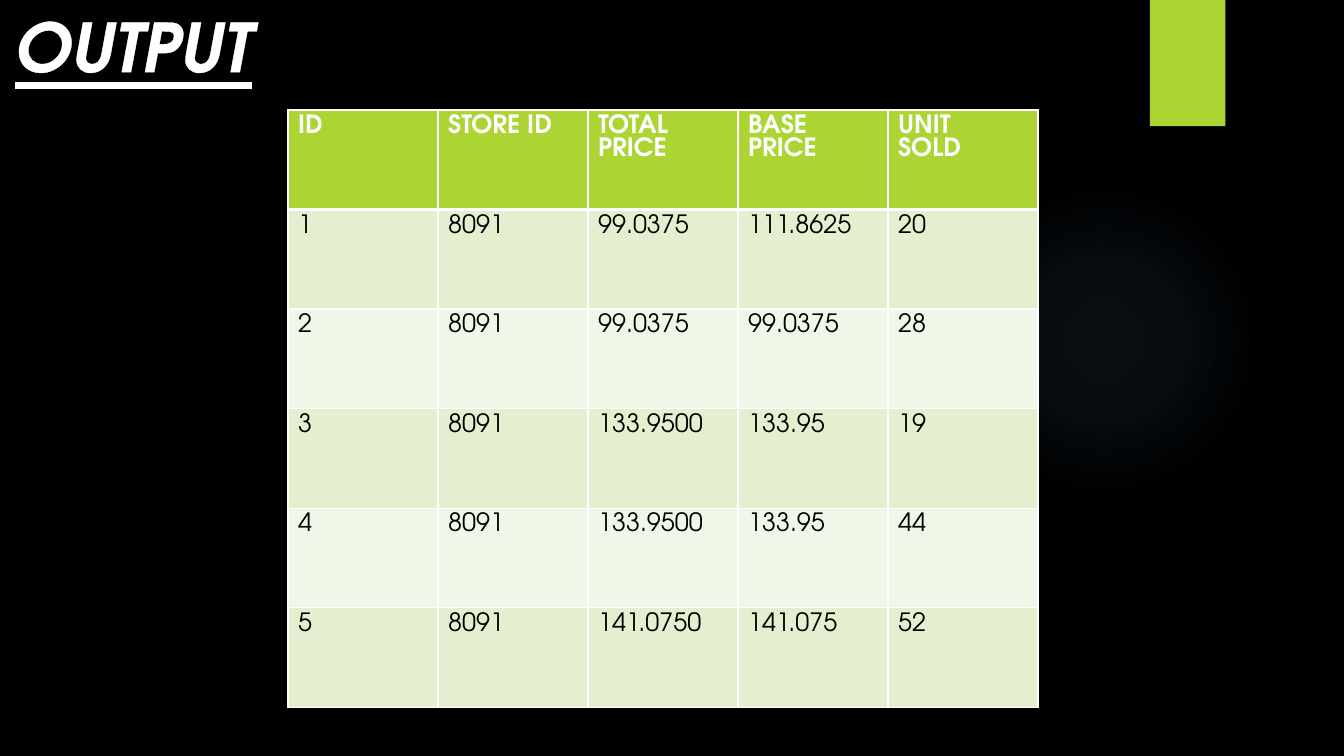
import dataclasses

import lxml.etree
import pptx
import pptx.dml.color
import pptx.enum.shapes
import pptx.enum.text
import pptx.oxml
import pptx.oxml.ns
import pptx.util

Cm = pptx.util.Cm
Pt = pptx.util.Pt
Color = pptx.dml.color.RGBColor
Kind = pptx.enum.shapes.MSO_SHAPE


@dataclasses.dataclass(frozen=True)
class Theme:
    font: str = "TeX Gyre Adventor"
    black: str = "000000"
    white: str = "FFFFFF"
    lime: str = "ACD433"
    bands: tuple[str, str] = ("E3EFCE", "F1F7E8")
    glow: str = "7AC4F0"
    title: float = 48
    body: float = 18
    thin: float = 1
    thick: float = 3
    edge: float = 1.45


@dataclasses.dataclass(frozen=True)
class Block:
    """A filled shape, with its box in centimetres."""
    kind: Kind
    left: float
    top: float
    width: float
    height: float
    color: str


THEME = Theme()
GLOW = Block(Kind.OVAL, 23.9, 4.65, 7.82, 7.82, THEME.glow)
TAB = Block(Kind.RECTANGLE, 28.98, 0, 1.9, 3.18, THEME.lime)
GLOW_STOPS = ((0, 7), (36, 6), (69, 0))

HEAD = ("ID", "STORE ID", "TOTAL PRICE", "BASE PRICE", "UNIT\nSOLD")
SALES = (
    ("1", "8091", "99.0375", "111.8625", "20"),
    ("2", "8091", "99.0375", "99.0375", "28"),
    ("3", "8091", "133.9500", "133.95", "19"),
    ("4", "8091", "133.9500", "133.95", "44"),
    ("5", "8091", "141.0750", "141.075", "52"),
)
COL_WIDTH = 3.78
ROW_HEIGHT = 2.51


def make_line(tag: str, width: float, color: str) -> lxml.etree.ElementBase:
    return pptx.oxml.parse_xml(
        f'<a:{tag} {pptx.oxml.ns.nsdecls("a")} w="{Pt(width)}"><a:solidFill>'
        f'<a:srgbClr val="{color}"/></a:solidFill></a:{tag}>')


def put_text(frame, text: str, *, size: float, color: str, bold: bool = False,
             slant: bool = False, under: bool = False, align=None) -> None:
    frame.text = text
    for para in frame.paragraphs:
        para.alignment = align
        for run in para.runs:
            font = run.font
            font.name = THEME.font
            font.size = Pt(size)
            font.color.rgb = Color.from_string(color)
            font.bold = bold
            font.italic = slant
            font.underline = under


def add_block(slide, block: Block):
    shape = slide.shapes.add_shape(
        block.kind, Cm(block.left), Cm(block.top), Cm(block.width), Cm(block.height))
    shape.shadow.inherit = False
    shape.fill.solid()
    shape.fill.fore_color.rgb = Color.from_string(block.color)
    shape.line.fill.background()
    return shape


def add_glow(slide) -> None:
    """Add the disc that fades out from its centre."""
    disc = add_block(slide, GLOW)
    stops = "".join(
        f'<a:gs pos="{place * 1000}"><a:srgbClr val="{GLOW.color}">'
        f'<a:alpha val="{alpha * 1000}"/></a:srgbClr></a:gs>'
        for place, alpha in GLOW_STOPS)
    fade = pptx.oxml.parse_xml(
        f'<a:gradFill {pptx.oxml.ns.nsdecls("a")}><a:gsLst>{stops}</a:gsLst>'
        '<a:path path="circle"><a:fillToRect l="50000" t="50000" r="50000" b="50000"/>'
        '</a:path></a:gradFill>')
    plain = disc.element.spPr.find(pptx.oxml.ns.qn("a:solidFill"))
    plain.getparent().replace(plain, fade)


def style_cell(cell, text: str, row: int) -> None:
    head = row == 0
    put_text(cell.text_frame, text, size=THEME.body, bold=head,
             color=THEME.white if head else THEME.black)
    # Borders come before the fill in the cell's properties.
    props = cell._tc.get_or_add_tcPr()
    for side in ("lnL", "lnR", "lnT", "lnB"):
        heavy = (row, side) in ((0, "lnB"), (1, "lnT"))
        width = THEME.thick if heavy else THEME.thin
        props.append(make_line(side, width, THEME.white))
    cell.fill.solid()
    color = THEME.lime if head else THEME.bands[(row - 1) % 2]
    cell.fill.fore_color.rgb = Color.from_string(color)


def add_sales(slide) -> None:
    rows = (HEAD, *SALES)
    table = slide.shapes.add_table(
        len(rows), len(HEAD), Cm(7.26), Cm(2.77),
        Cm(COL_WIDTH * len(HEAD)), Cm(ROW_HEIGHT * len(rows))).table
    table.first_row = table.horz_banding = False
    for col in table.columns:
        col.width = Cm(COL_WIDTH)
    for row, texts in enumerate(rows):
        table.rows[row].height = Cm(ROW_HEIGHT)
        for col, text in enumerate(texts):
            style_cell(table.cell(row, col), text, row)


def add_title(slide) -> None:
    frame = slide.shapes.add_textbox(0, 0, Cm(6.71), Cm(2.31)).text_frame
    frame.word_wrap = False
    frame.auto_size = pptx.enum.text.MSO_AUTO_SIZE.SHAPE_TO_FIT_TEXT
    put_text(frame, "OUTPUT", size=THEME.title, color=THEME.white, bold=True,
             slant=True, under=True, align=pptx.enum.text.PP_ALIGN.CENTER)
    props = frame.paragraphs[0].runs[0]._r.get_or_add_rPr()
    props.insert(0, make_line("ln", THEME.edge, THEME.white))


def main() -> None:
    deck = pptx.Presentation()
    deck.slide_width, deck.slide_height = Cm(33.87), Cm(19.05)
    slide = deck.slides.add_slide(deck.slide_layouts[6])
    slide.background.fill.solid()
    slide.background.fill.fore_color.rgb = Color.from_string(THEME.black)
    add_glow(slide)
    add_block(slide, TAB)
    add_sales(slide)
    add_title(slide)
    deck.save("out.pptx")


if __name__ == "__main__":
    main()
